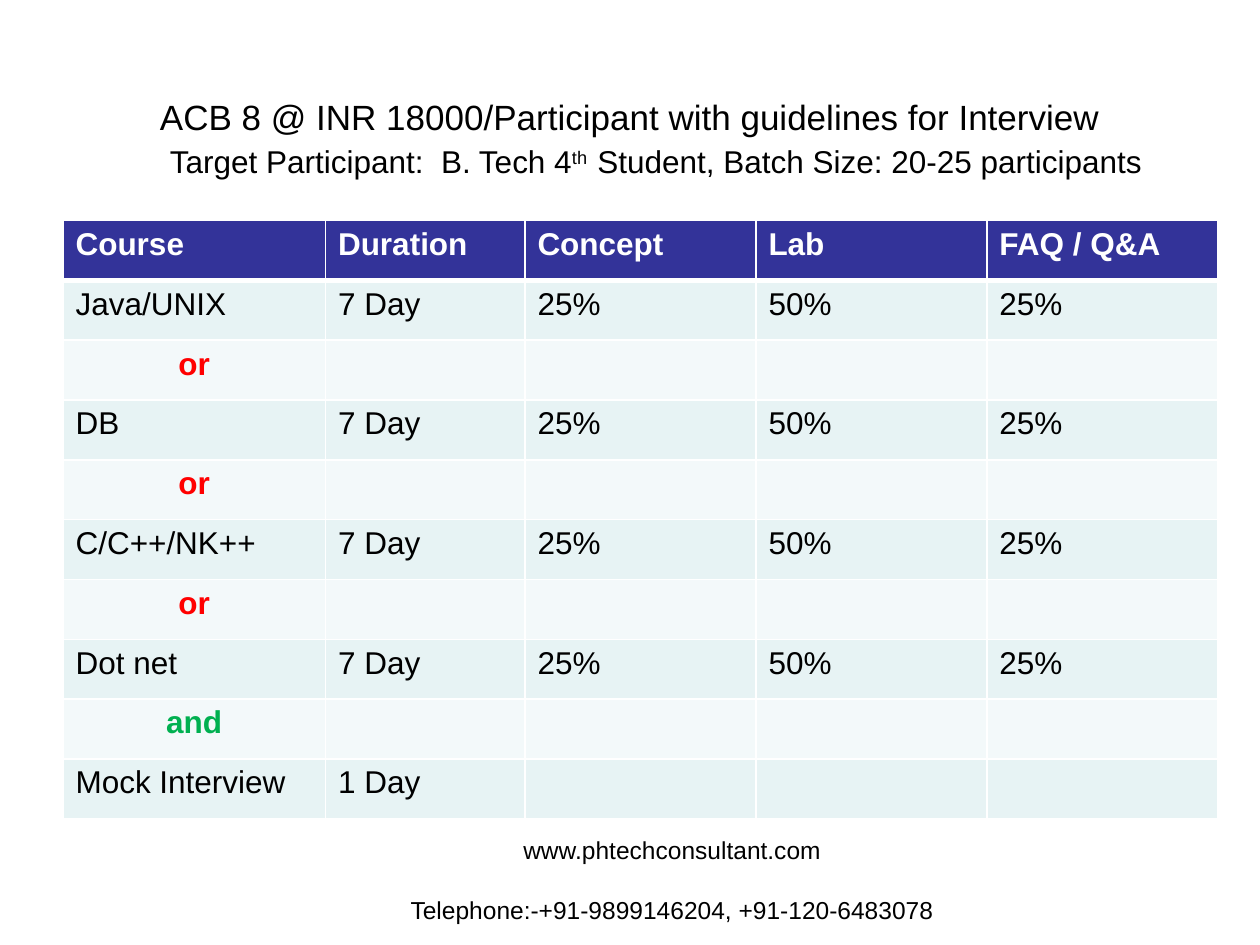
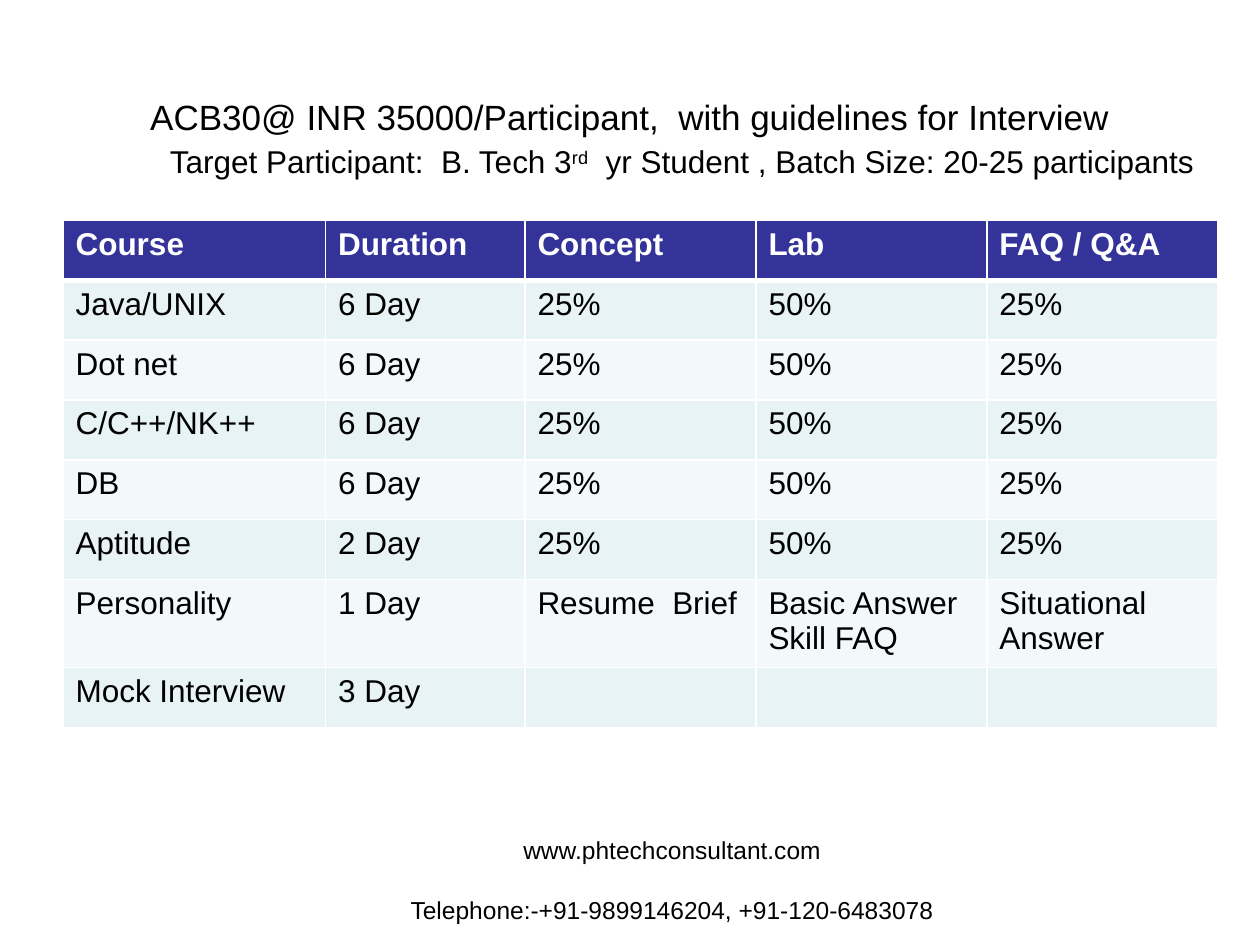
from dataclasses import dataclass

from lxml import etree
from pptx import Presentation
from pptx.dml.color import RGBColor
from pptx.enum.text import MSO_ANCHOR, PP_ALIGN
from pptx.oxml.ns import qn
from pptx.util import Inches, Pt

FONT = "Arial"
BLACK = RGBColor(0x00, 0x00, 0x00)
WHITE = RGBColor(0xFF, 0xFF, 0xFF)
NAVY = RGBColor(0x33, 0x33, 0x99)
BAND_DARK = RGBColor(0xE7, 0xF3, 0xF4)
BAND_LIGHT = RGBColor(0xF3, 0xF9, 0xFA)
RED = RGBColor(0xFF, 0x00, 0x00)
GREEN = RGBColor(0x00, 0xB0, 0x50)

HEADER = ("Course", "Duration", "Concept", "Lab", "FAQ / Q&A")
SHARES = ("25%", "50%", "25%")
JOINERS = {"or": RED, "and": GREEN}
COL_WIDTHS = [twelfths / 12 for twelfths in (25, 19, 22, 22, 22)]
ROW_HEIGHT = 0.475
CONTACT = ("www.phtechconsultant.com", "Telephone:-+91-9899146204, +91-120-6483078")


@dataclass
class Offer:
    title: str
    audience: tuple[str, str, str]
    audience_width: float
    rows: list[tuple[str, ...]]
    audience_wraps: bool = True


OFFERS = [
    Offer(
        "ACB 8 @ INR 18000/Participant with guidelines for Interview",
        ("Target Participant:  B. Tech 4", "th  ", "Student, Batch Size: 20-25 participants"),
        8,
        [
            ("Java/UNIX", "7 Day", *SHARES),
            ("or",),
            ("DB", "7 Day", *SHARES),
            ("or",),
            ("C/C++/NK++", "7 Day", *SHARES),
            ("or",),
            ("Dot net", "7 Day", *SHARES),
            ("and",),
            ("Mock Interview", "1 Day"),
        ],
    ),
    Offer(
        "ACB30@ INR 35000/Participant,  with guidelines for Interview",
        ("Target Participant:  B. Tech 3", "rd", "  yr Student , Batch Size: 20-25 participants"),
        8.56,
        [
            ("Java/UNIX", "6 Day", *SHARES),
            ("Dot net", "6 Day", *SHARES),
            ("C/C++/NK++", "6 Day", *SHARES),
            ("DB", "6 Day", *SHARES),
            ("Aptitude", "2 Day", *SHARES),
            ("Personality", "1 Day", "Resume  Brief", "Basic Answer Skill FAQ", "Situational Answer"),
            ("Mock Interview", "3 Day"),
        ],
        audience_wraps=False,
    ),
]


def add_run(p, text: str, *, size: float = 18, color: RGBColor = BLACK,
            bold: bool = False, raised: bool = False) -> None:
    r = p.add_run()
    r.text = text
    r.font.name = FONT
    r.font.size = Pt(size)
    r.font.bold = bold
    r.font.color.rgb = color
    if raised:
        r.font._element.set("baseline", "30000")


def add_box(slide, left: float, top: float, width: float, height: float,
            anchor: MSO_ANCHOR = MSO_ANCHOR.TOP, wrap: bool = True):
    sp = slide.shapes.add_textbox(Inches(left), Inches(top), Inches(width), Inches(height))
    tf = sp.text_frame
    tf.word_wrap = wrap
    tf.vertical_anchor = anchor
    return tf


def set_borders(cell, top: float = 1, bottom: float = 1) -> None:
    tc_pr = cell._tc.get_or_add_tcPr()
    for i, (side, width) in enumerate((("L", 1), ("R", 1), ("T", top), ("B", bottom))):
        ln = etree.Element(qn(f"a:ln{side}"), w=str(Pt(width)))
        fill = etree.SubElement(ln, qn("a:solidFill"))
        etree.SubElement(fill, qn("a:srgbClr"), val=str(WHITE))
        tc_pr.insert(i, ln)


def fill_cell(cell, text: str, row: int) -> None:
    is_header = row == 0
    cell.fill.solid()
    cell.fill.fore_color.rgb = NAVY if is_header else BAND_DARK if row % 2 else BAND_LIGHT
    set_borders(cell, top=3 if row == 1 else 1, bottom=3 if is_header else 1)
    if not text:
        return
    p = cell.text_frame.paragraphs[0]
    is_joiner = text in JOINERS
    if is_joiner:
        p.alignment = PP_ALIGN.CENTER
    color = WHITE if is_header else JOINERS.get(text, BLACK)
    add_run(p, text, color=color, bold=is_header or is_joiner)


def add_courses(slide, offer: Offer) -> None:
    rows = [HEADER, *offer.rows]
    table = slide.shapes.add_table(
        len(rows), len(HEADER), Inches(0.5), Inches(1.75),
        Inches(sum(COL_WIDTHS)), Inches(ROW_HEIGHT * len(rows))).table
    for column, width in zip(table.columns, COL_WIDTHS):
        column.width = Inches(width)
    for i, values in enumerate(rows):
        for j in range(len(HEADER)):
            fill_cell(table.cell(i, j), values[j] if j < len(values) else "", i)


def add_title(slide, title: str) -> None:
    p = add_box(slide, 0.25, 0.3, 9.5, 1.25, MSO_ANCHOR.MIDDLE).paragraphs[0]
    p.alignment = PP_ALIGN.CENTER
    add_run(p, title, size=20)


def add_audience(slide, offer: Offer) -> None:
    tf = add_box(slide, 1.25, 1.08, offer.audience_width, 0.4, wrap=offer.audience_wraps)
    for i, part in enumerate(offer.audience):
        add_run(tf.paragraphs[0], part, raised=i == 1)


def add_contact(slide) -> None:
    tf = add_box(slide, 1.5, 6.58, 7.67, 0.69)
    for i, line in enumerate(CONTACT):
        p = tf.add_paragraph() if i else tf.paragraphs[0]
        p.alignment = PP_ALIGN.CENTER
        if i:
            p.space_before = Pt(17.5)
        add_run(p, line, size=14)


def main() -> None:
    prs = Presentation()
    prs.slide_width, prs.slide_height = Inches(10), Inches(7.5)
    for offer in OFFERS:
        slide = prs.slides.add_slide(prs.slide_layouts[6])
        add_title(slide, offer.title)
        add_courses(slide, offer)
        add_contact(slide)
        add_audience(slide, offer)
    prs.save("out.pptx")


if __name__ == "__main__":
    main()
